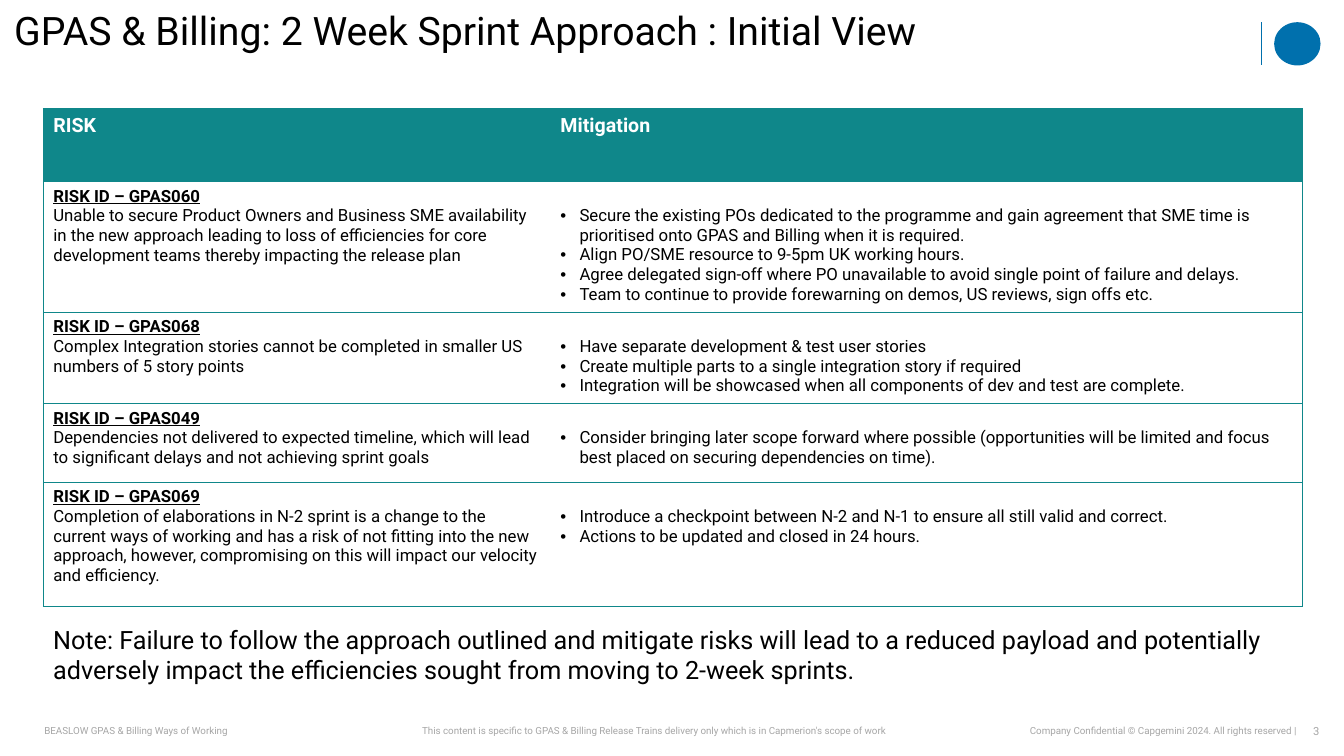
import pptx
import pptx.dml.color
import pptx.enum.shapes
import pptx.enum.text
import pptx.oxml
import pptx.oxml.ns
import pptx.util
from lxml import etree

Cm = pptx.util.Cm
Pt = pptx.util.Pt
RGBColor = pptx.dml.color.RGBColor
Align = pptx.enum.text.PP_ALIGN
Anchor = pptx.enum.text.MSO_ANCHOR
qn = pptx.oxml.ns.qn

TEAL = RGBColor(0x0F, 0x87, 0x8A)
BLUE = RGBColor(0x00, 0x70, 0xAD)
GREY = RGBColor(0xA6, 0xA6, 0xA6)
BLACK = RGBColor(0, 0, 0)
WHITE = RGBColor(0xFF, 0xFF, 0xFF)
FONT = "Roboto"

HEADINGS = ("RISK", "Mitigation")
HEADER_HEIGHT = 1.83
COLUMN_WIDTHS = (12.78, 18.95)
RISKS = [
    ("GPAS060", 3.3,
     "Unable to secure Product Owners and Business SME availability in the new approach leading to "
     "loss of efficiencies for core development teams thereby impacting the release plan",
     ["Secure the existing POs dedicated to the programme and gain agreement that SME time is "
      "prioritised onto GPAS and Billing when it is required.",
      "Align PO/SME resource to 9-5pm UK working hours.",
      "Agree delegated sign-off where PO unavailable to avoid single point of failure and delays.",
      "Team to continue to provide forewarning on demos, US reviews, sign offs etc."]),
    ("GPAS068", 2.3,
     "Complex Integration stories cannot be completed in smaller US numbers of 5 story points",
     ["Have separate development & test user stories",
      "Create multiple parts to a single integration story if required",
      "Integration will be showcased when all components of dev and test are complete."]),
    ("GPAS049", 1.98,
     "Dependencies not delivered to expected timeline, which will lead to significant delays and "
     "not achieving sprint goals",
     ["Consider bringing later scope forward where possible (opportunities will be limited and "
      "focus best placed on securing dependencies on time)."]),
    ("GPAS069", 3.13,
     "Completion of elaborations in N-2 sprint is a change to the current ways of working and has "
     "a risk of not fitting into the new approach, however, compromising on this will impact our "
     "velocity and efficiency.",
     ["Introduce a checkpoint between N-2 and N-1 to ensure all still valid and correct.",
      "Actions to be updated and closed in 24 hours."]),
]


def style_paragraph(paragraph, size, color, bold=False, underline=False):
    """Set the font of a whole paragraph."""
    font = paragraph.font
    font.name, font.size, font.bold, font.underline = FONT, Pt(size), bold, underline
    font.color.rgb = color


def add_text(slide, box, text, size, color=BLACK, align=Align.LEFT, anchor=Anchor.TOP,
             margins=(0, 0)):
    """Add a wrapped text box with one paragraph and return the paragraph."""
    frame = slide.shapes.add_textbox(*map(Cm, box)).text_frame
    frame.word_wrap = True
    frame.vertical_anchor = anchor
    frame.margin_left = frame.margin_right = Cm(margins[0])
    frame.margin_top = frame.margin_bottom = Cm(margins[1])
    paragraph = frame.paragraphs[0]
    paragraph.text = text
    paragraph.alignment = align
    style_paragraph(paragraph, size, color)
    return paragraph


def fill_cell(cell, texts):
    """Write one paragraph per text into a cell and return the paragraphs."""
    cell.text_frame.text = "\n".join(texts)
    return cell.text_frame.paragraphs


def add_bullet(paragraph):
    """Give a paragraph a hanging round bullet."""
    properties = paragraph._p.get_or_add_pPr()
    properties.set("marL", str(Cm(0.48)))
    properties.set("indent", str(-Cm(0.48)))
    etree.SubElement(properties, qn("a:buFont")).set("typeface", "Arial")
    etree.SubElement(properties, qn("a:buChar")).set("char", "•")


def set_borders(cell, visible_sides):
    """Draw thin teal lines on the visible sides and none on the others."""
    properties = cell._tc.get_or_add_tcPr()
    for position, side in enumerate("LRTB"):
        line = etree.Element(qn("a:ln" + side), w=str(Pt(0.5)))
        if side in visible_sides:
            fill = etree.SubElement(line, qn("a:solidFill"))
            etree.SubElement(fill, qn("a:srgbClr")).set("val", str(TEAL))
        else:
            etree.SubElement(line, qn("a:noFill"))
        properties.insert(position, line)


def add_risk_table(slide, left, top):
    """Add the table of risks and mitigations."""
    heights = [HEADER_HEIGHT] + [risk[1] for risk in RISKS]
    table = slide.shapes.add_table(len(heights), 2, Cm(left), Cm(top),
                                   Cm(sum(COLUMN_WIDTHS)), Cm(sum(heights))).table
    table.first_row = table.horz_banding = False
    for column, width in zip(table.columns, COLUMN_WIDTHS):
        column.width = Cm(width)
    for row_number, (row, height) in enumerate(zip(table.rows, heights)):
        row.height = Cm(height)
        for cell, sides in zip(row.cells, ("LTB", "RTB")):
            cell.fill.solid()
            cell.fill.fore_color.rgb = WHITE if row_number else TEAL
            set_borders(cell, sides)

    for cell, heading in zip(table.rows[0].cells, HEADINGS):
        style_paragraph(fill_cell(cell, [heading])[0], 14, WHITE, bold=True)
    for row_number, (risk_id, _, description, mitigations) in enumerate(RISKS, 1):
        risk_cell, mitigation_cell = table.rows[row_number].cells
        title, body = fill_cell(risk_cell, [f"RISK ID – {risk_id}", description])
        style_paragraph(title, 12, BLACK, bold=True, underline=True)
        style_paragraph(body, 12, BLACK)
        mitigation_cell.margin_top = Cm(0.62)
        for paragraph in fill_cell(mitigation_cell, mitigations):
            add_bullet(paragraph)
            style_paragraph(paragraph, 12, BLACK)


def add_emblem(slide, left, top):
    """Add the thin divider and the plain emblem beside it."""
    divider = slide.shapes.add_connector(pptx.enum.shapes.MSO_CONNECTOR.STRAIGHT, Cm(left),
                                         Cm(top), Cm(left), Cm(top + 1.09))
    divider.line.color.rgb = BLUE
    divider.line.width = Pt(0.5)
    etree.SubElement(divider._element.spPr, qn("a:effectLst"))
    emblem = slide.shapes.add_shape(pptx.enum.shapes.MSO_SHAPE.OVAL, Cm(left + 0.33), Cm(top),
                                    Cm(1.17), Cm(1.09))
    emblem.shadow.inherit = False
    emblem.fill.solid()
    emblem.fill.fore_color.rgb = BLUE
    emblem.line.fill.background()


def add_footer(slide, top):
    """Add the four grey footer texts."""
    add_text(slide, (1.12, top, 9.47, 0.61), "BEASLOW GPAS & Billing Ways of Working", 7, GREY,
             anchor=Anchor.MIDDLE)
    add_text(slide, (6.17, top + 0.02, 20.62, 0.56),
             "This content is specific to GPAS & Billing Release Trains delivery only which is in "
             "Capmerion's scope of work", 7, GREY, Align.CENTER, margins=(0.25, 0.13))
    add_text(slide, (20.07, top, 12.6, 0.61),
             "Company Confidential © Capgemini 2024. All rights reserved |", 7, GREY,
             Align.RIGHT, Anchor.MIDDLE)
    add_text(slide, (32.61, top, 0.64, 0.61), "3", 8, GREY, Align.RIGHT, margins=(0, 0.13))


def build_risk_slide(presentation):
    """Build the slide of sprint risks."""
    slide = presentation.slides.add_slide(presentation.slide_layouts[6])
    title = add_text(slide, (0.36, 0.3, 27.79, 1.35),
                     "GPAS & Billing: 2 Week Sprint Approach : Initial View", 28)
    title.line_spacing = 0.9
    add_emblem(slide, 31.78, 0.56)
    add_risk_table(slide, 1.09, 2.74)
    add_text(slide, (1.09, 15.6, 31.72, 1.8),
             "Note: Failure to follow the approach outlined and mitigate risks will lead to a "
             "reduced payload and potentially adversely impact the efficiencies sought from "
             "moving to 2-week sprints.", 18, margins=(0.25, 0.13))
    add_footer(slide, 18.11)


def main():
    """Create and save the presentation."""
    presentation = pptx.Presentation()
    presentation.slide_width, presentation.slide_height = Cm(33.87), Cm(19.05)
    build_risk_slide(presentation)
    presentation.save("out.pptx")


if __name__ == "__main__":
    main()
